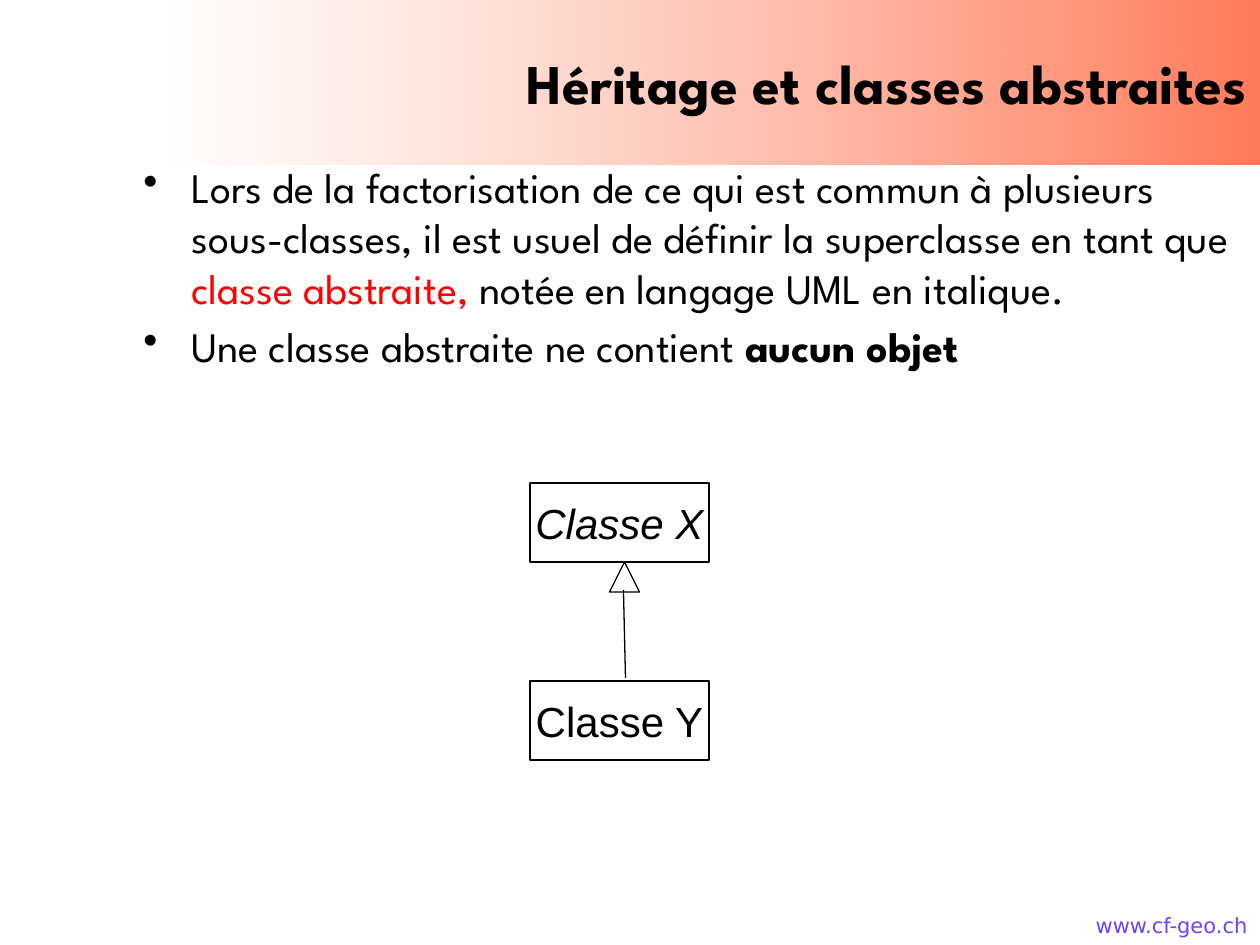
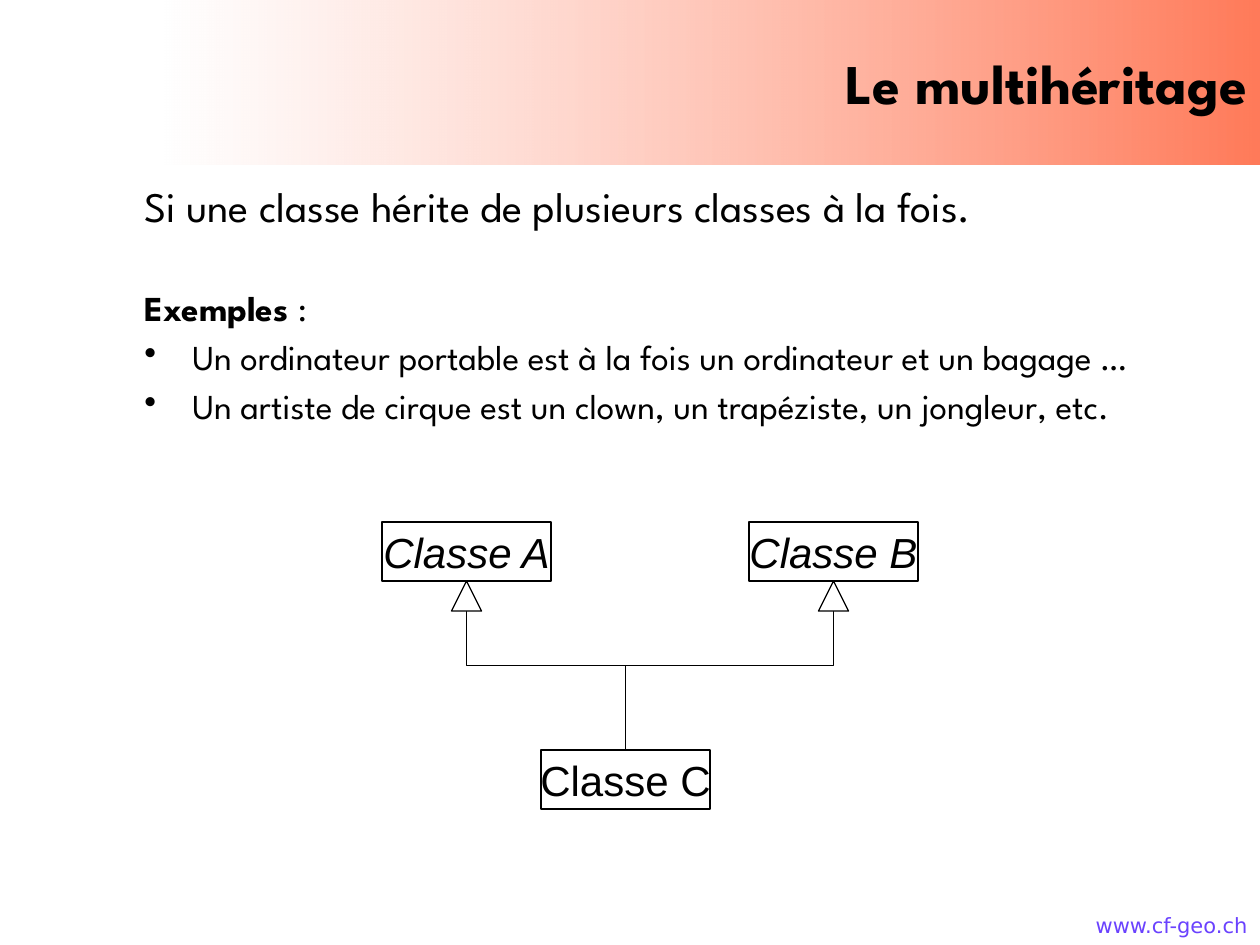
from dataclasses import dataclass

from lxml import etree
from pptx import Presentation, util as u
from pptx.dml.color import RGBColor
from pptx.enum import shapes, text
from pptx.oxml.ns import qn

PX = 914400 / 126
BLANK_LAYOUT = 6


@dataclass(frozen=True)
class Theme:
    ink: str = "000000"
    paper: str = "FFFFFF"
    accent: str = "FF0000"
    band: str = "FF3300"
    link: str = "6A42FE"
    heading_font: str = "League Spartan"
    footer_font: str = "DejaVu Sans"
    diagram_font: str = "Arial"
    title_size: int = 32
    body_size: int = 24
    example_size: int = 20
    footer_size: int = 12
    line_width: float = 0.75


THEME = Theme()
SLIDE_BOX = (0, 0, 1260, 945)
TITLE_BOX = (165, 0, 1095, 165)
FOOTER_BOX = (1047, 906, 213, 63)
TRIANGLE_SIZE = 30
BULLET_INDENT = 48


def px(length):
    return u.Emu(round(length * PX))


def emu_box(box):
    return [px(length) for length in box]


def apply(target, values):
    for name, value in values.items():
        setattr(target, name, value)


def add_run(paragraph, content, size, name, color=THEME.ink, **style):
    run = paragraph.add_run()
    run.text = content
    apply(run.font, {"size": u.Pt(size), "name": name, **style})
    run.font.color.rgb = RGBColor.from_string(color)


def add_bullet(paragraph):
    properties = paragraph._p.get_or_add_pPr()
    properties.set("marL", str(px(BULLET_INDENT)))
    properties.set("indent", str(-px(BULLET_INDENT)))
    etree.SubElement(properties, qn("a:buChar")).set("char", "•")


def add_outlined(slide, kind, box):
    shape = slide.shapes.add_shape(kind, *emu_box(box))
    shape.shadow.inherit = False
    shape.fill.solid()
    shape.fill.fore_color.rgb = RGBColor.from_string(THEME.paper)
    style_line(shape)
    return shape


def style_line(shape):
    shape.line.color.rgb = RGBColor.from_string(THEME.ink)
    shape.line.width = u.Pt(THEME.line_width)


def add_line(slide, kind, start, end):
    connector = slide.shapes.add_connector(kind, *emu_box(start + end))
    style_line(connector)
    etree.SubElement(connector._element.spPr, qn("a:effectLst"))
    return connector


def add_title(slide, title, box=TITLE_BOX):
    """Right-aligned title on a band that fades in from the left."""
    band = slide.shapes.add_shape(shapes.MSO_SHAPE.RECTANGLE, *emu_box(box))
    band.shadow.inherit = False
    band.line.fill.background()
    band.fill.gradient()
    band.fill.gradient_angle = 0
    stops = ((THEME.paper, 46), (THEME.band, 65))
    for stop, (color, _) in zip(band.fill.gradient_stops, stops):
        stop.color.rgb = RGBColor.from_string(color)
    colors = band._element.spPr.iter(qn("a:srgbClr"))
    for element, (_, opacity) in zip(list(colors), stops):
        etree.SubElement(element, qn("a:alpha")).set("val", str(opacity * 1000))
    frame = band.text_frame
    apply(frame, {"word_wrap": True, "vertical_anchor": text.MSO_ANCHOR.MIDDLE})
    paragraph = frame.paragraphs[0]
    paragraph.alignment = text.PP_ALIGN.RIGHT
    add_run(paragraph, title, THEME.title_size, THEME.heading_font, bold=True)


def add_footer(slide, box=FOOTER_BOX):
    frame = slide.shapes.add_textbox(*emu_box(box)).text_frame
    frame.word_wrap = True
    paragraph = frame.paragraphs[0]
    paragraph.alignment = text.PP_ALIGN.RIGHT
    add_run(paragraph, "www.cf-geo.ch", THEME.footer_size, THEME.footer_font, THEME.link)


def add_body(slide, box, paragraphs):
    """Each paragraph is (size, space before, bulleted, runs of (text, style))."""
    frame = slide.shapes.add_textbox(*emu_box(box)).text_frame
    frame.word_wrap = True
    for index, (size, space, bulleted, runs) in enumerate(paragraphs):
        paragraph = frame.add_paragraph() if index else frame.paragraphs[0]
        paragraph.space_before = u.Pt(space)
        if bulleted:
            add_bullet(paragraph)
        for content, style in runs:
            add_run(paragraph, content, size, THEME.heading_font, **style)


def add_class(slide, name, box, abstract=False):
    shape = add_outlined(slide, shapes.MSO_SHAPE.RECTANGLE, box)
    frame = shape.text_frame
    apply(frame, {"word_wrap": False, "vertical_anchor": text.MSO_ANCHOR.MIDDLE})
    paragraph = frame.paragraphs[0]
    paragraph.alignment = text.PP_ALIGN.CENTER
    add_run(paragraph, name, THEME.body_size, THEME.diagram_font, italic=abstract)


def add_triangle(slide, kind, apex):
    x, y = apex
    add_outlined(slide, kind, (x - TRIANGLE_SIZE / 2, y, TRIANGLE_SIZE, TRIANGLE_SIZE))


def add_upward_elbow(slide, start, end):
    """Elbow leaving start upwards: a horizontal elbow turned by a quarter."""
    run, rise = end[0] - start[0], start[1] - end[1]
    center_x, center_y = (start[0] + end[0]) / 2, (start[1] + end[1]) / 2
    half_x = rise / 2 if run > 0 else -rise / 2
    half_y = abs(run) / 2
    connector = add_line(slide, shapes.MSO_CONNECTOR.ELBOW,
                         (center_x - half_x, center_y - half_y),
                         (center_x + half_x, center_y + half_y))
    degrees = 270 if run > 0 else 90
    connector._element.spPr.find(qn("a:xfrm")).set("rot", str(degrees * 60000))


def add_single_inheritance(slide, box):
    left, top, width, height = box
    class_height = 79
    center = left + width / 2 + 5
    add_class(slide, "Classe X", (left, top, width, class_height), abstract=True)
    add_class(slide, "Classe Y", (left, top + height - class_height, width, class_height))
    apex = (center, top + class_height)
    add_triangle(slide, shapes.MSO_SHAPE.ISOSCELES_TRIANGLE, apex)
    add_line(slide, shapes.MSO_CONNECTOR.STRAIGHT,
             (center - 1, apex[1] + 28), (center + 1, apex[1] + 116))


def add_multiple_inheritance(slide, box):
    left, top, width, height = box
    class_width, class_height = 169, 59
    child_left, child_top = left + 159, top + height - class_height
    add_class(slide, "Classe C", (child_left, child_top, class_width, class_height))
    child = (child_left + class_width / 2, child_top)
    parents = (("Classe A", left), ("Classe B", left + width - class_width))
    for name, parent_left in parents:
        add_class(slide, name, (parent_left, top, class_width, class_height), abstract=True)
        apex = (parent_left + class_width / 2, top + class_height)
        add_upward_elbow(slide, child, apex)
        add_triangle(slide, shapes.MSO_SHAPE.FLOWCHART_EXTRACT, apex)


def add_framed_slide(presentation, title):
    slide = presentation.slides.add_slide(presentation.slide_layouts[BLANK_LAYOUT])
    add_footer(slide)
    add_title(slide, title)
    return slide


def add_abstract_slide(presentation):
    slide = add_framed_slide(presentation, "Héritage et classes abstraites")
    add_body(slide, (131, 155, 1134, 624), [
        (THEME.body_size, 0, True, [
            ("Lors de la factorisation de ce qui est commun à plusieurs sous-classes, "
             "il est usuel de définir la superclasse en tant que ", {}),
            ("classe abstraite, ", {"color": THEME.accent}),
            ("notée en langage UML en italique.", {})]),
        (THEME.body_size, 4.8, True, [
            ("Une classe abstraite ne contient ", {}),
            ("aucun objet", {"bold": True})]),
    ])
    add_single_inheritance(slide, (530, 483, 179, 277))


def add_multiple_slide(presentation):
    slide = add_framed_slide(presentation, "Le multihéritage")
    examples = ("Un ordinateur portable est à la fois un ordinateur et un bagage …",
                "Un artiste de cirque est un clown, un trapéziste, un jongleur, etc.")
    add_body(slide, (132, 174, 1113, 626), [
        (THEME.body_size, 0, False,
         [("Si une classe hérite de plusieurs classes à la fois.", {})]),
        (THEME.example_size, 32, False, [("Exemples ", {"bold": True}), (":", {})]),
        *((THEME.example_size, 4, True, [(example, {})]) for example in examples),
    ])
    add_multiple_inheritance(slide, (382, 522, 536, 287))


def main():
    presentation = Presentation()
    _, _, width, height = emu_box(SLIDE_BOX)
    apply(presentation, {"slide_width": width, "slide_height": height})
    add_abstract_slide(presentation)
    add_multiple_slide(presentation)
    presentation.save("out.pptx")


if __name__ == "__main__":
    main()
